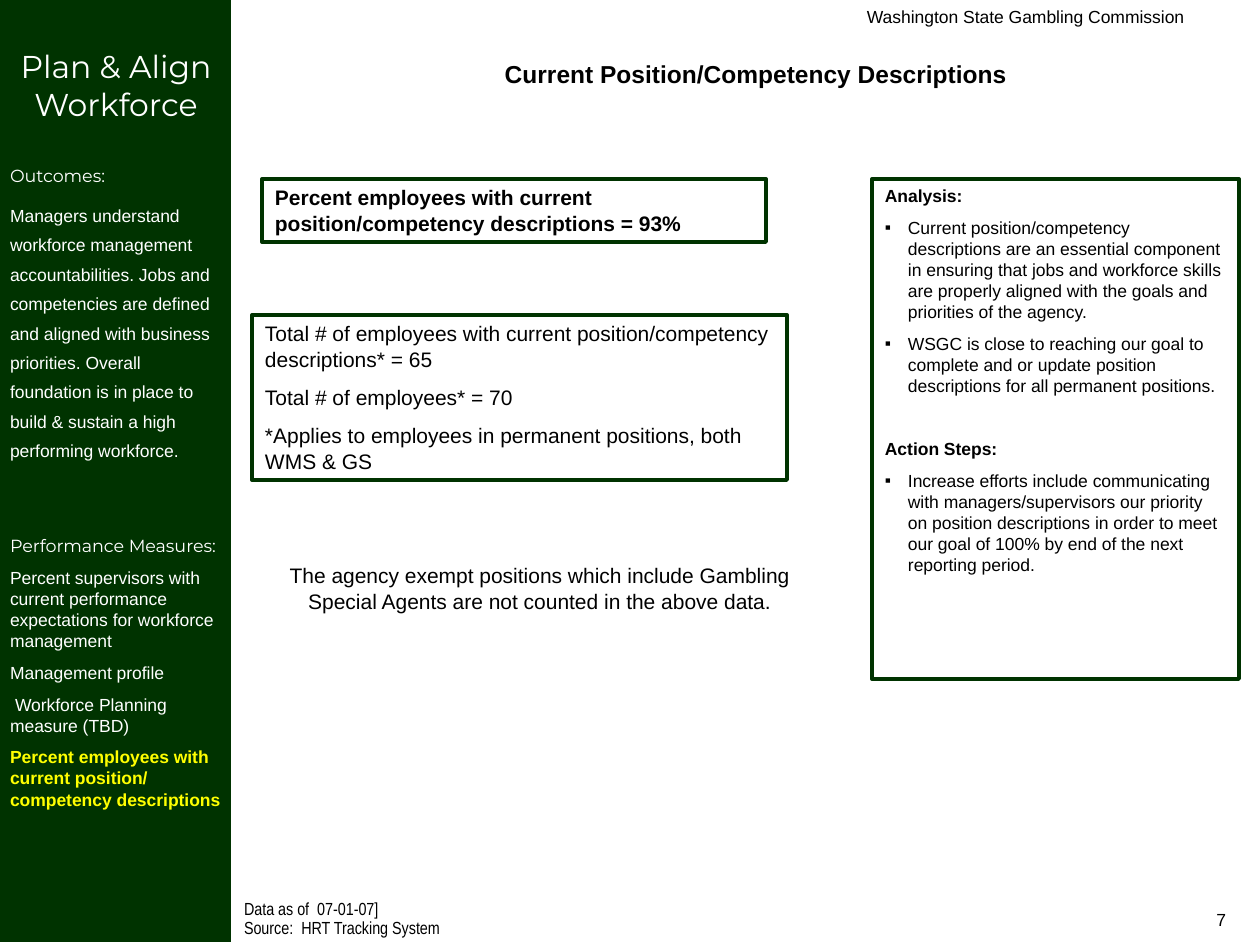
from lxml.etree import SubElement
from pptx import Presentation
from pptx.dml.color import RGBColor
from pptx.enum.shapes import MSO_SHAPE
from pptx.enum.text import MSO_ANCHOR, PP_ALIGN
from pptx.oxml.ns import qn
from pptx.util import Emu, Pt

GREEN = RGBColor(0x00, 0x33, 0x00)
WHITE = RGBColor(0xFF, 0xFF, 0xFF)
BLACK = RGBColor(0x00, 0x00, 0x00)
YELLOW = RGBColor(0xFF, 0xFF, 0x00)
PX_PER_INCH = 126


def px(length):
    """Turn whole pixels into EMU."""
    return Emu(round(length * 914400 / PX_PER_INCH))


def set_insets(frame, left=13, top=6, right=13, bottom=6):
    """Give a text frame its margins, wrapping and top anchor."""
    frame.margin_left, frame.margin_top = px(left), px(top)
    frame.margin_right, frame.margin_bottom = px(right), px(bottom)
    frame.word_wrap = True
    frame.vertical_anchor = MSO_ANCHOR.TOP


def add_paragraph(frame, wording, size=10, font="Arial", color=BLACK, bold=False,
                  align=PP_ALIGN.LEFT, before=0, spacing=None, bullet=False, indent=0):
    """Append one styled paragraph to a text frame."""
    first = frame.paragraphs[0]
    paragraph = frame.add_paragraph() if first.runs else first
    paragraph.alignment = align
    if before:
        paragraph.space_before = Pt(before)
    if spacing:
        paragraph.line_spacing = spacing
    properties = paragraph._p.get_or_add_pPr()
    if indent:
        properties.set("indent", str(px(indent)))
    if bullet:
        properties.set("marL", str(px(23)))
        properties.set("indent", str(px(-23)))
        SubElement(properties, qn("a:buFont"), typeface="Arial")
        SubElement(properties, qn("a:buChar"), char="▪")
    run = paragraph.add_run()
    run.text = wording
    run.font.size = Pt(size)
    run.font.name = font
    run.font.bold = bold
    run.font.color.rgb = color


def add_label(slide, left, top, width, height):
    """Add a plain text box and return its frame."""
    frame = slide.shapes.add_textbox(px(left), px(top), px(width), px(height)).text_frame
    set_insets(frame)
    return frame


def add_panel(slide, left, top, width, height, fill=None):
    """Add a filled or green-outlined rectangle and return its frame."""
    panel = slide.shapes.add_shape(
        MSO_SHAPE.RECTANGLE, px(left), px(top), px(width), px(height))
    panel.shadow.inherit = False
    if fill is None:
        panel.fill.background()
        panel.line.color.rgb = GREEN
        panel.line.width = Pt(2.25)
    else:
        panel.fill.solid()
        panel.fill.fore_color.rgb = fill
        panel.line.fill.background()
    set_insets(panel.text_frame)
    return panel.text_frame


def add_sidebar(slide):
    """Add the green column with outcomes and performance measures."""
    sidebar = add_panel(slide, 0, 0, 231, 942, GREEN)
    set_insets(sidebar, left=10, top=47, right=9)
    add_paragraph(sidebar, "Plan & Align Workforce", 18, "Montserrat", WHITE,
                  align=PP_ALIGN.CENTER)
    add_paragraph(sidebar, "Outcomes:", font="Montserrat", color=WHITE, before=24)
    add_paragraph(
        sidebar,
        "Managers understand workforce management accountabilities. Jobs and "
        "competencies are defined and aligned with business priorities. Overall "
        "foundation is in place to build & sustain a high performing workforce.",
        color=WHITE, before=6.2, spacing=1.4)
    add_paragraph(sidebar, "Performance Measures:", font="Montserrat", color=WHITE, before=42)
    measures = [
        ("Percent supervisors with current performance expectations for workforce "
         "management", 0),
        ("Management profile", 0),
        ("Workforce Planning measure (TBD)", 5),
    ]
    for measure, indent in measures:
        add_paragraph(sidebar, measure, color=WHITE, before=6.2, indent=indent)
    add_paragraph(sidebar, "Percent employees with current position/ competency descriptions",
                  color=YELLOW, bold=True, before=6.2)


def add_figures(slide):
    """Add the headline percentage, the totals and the exemption note."""
    percentage = add_panel(slide, 262, 179, 504, 63)
    add_paragraph(percentage,
                  "Percent employees with current position/competency descriptions = 93%",
                  12, bold=True)
    totals = add_panel(slide, 252, 315, 535, 165)
    lines = [
        "Total # of employees with current position/competency descriptions* = 65",
        "Total # of employees* = 70",
        "*Applies to employees in permanent positions, both WMS & GS",
    ]
    for index, line in enumerate(lines):
        add_paragraph(totals, line, 12, before=7.5 if index else 0)
    exemption = add_label(slide, 262, 557, 556, 63)
    add_paragraph(exemption,
                  "The agency exempt positions which include Gambling Special Agents "
                  "are not counted in the above data.",
                  12, align=PP_ALIGN.CENTER)


def add_analysis(slide):
    """Add the panel of analysis and action steps."""
    analysis = add_panel(slide, 872, 179, 367, 500)
    sections = [
        ("Analysis:", 0, [
            "Current position/competency descriptions are an essential component in "
            "ensuring that jobs and workforce skills are properly aligned with the "
            "goals and priorities of the agency.",
            "WSGC is close to reaching our goal to complete and or update position "
            "descriptions for all permanent positions."]),
        ("Action Steps:", 24, [
            "Increase efforts include communicating with managers/supervisors our "
            "priority on position descriptions in order to meet our goal of 100% by "
            "end of the next reporting period."]),
    ]
    for heading, before, points in sections:
        add_paragraph(analysis, heading, bold=True, before=before)
        for point in points:
            add_paragraph(analysis, point, before=6.2, bullet=True)


def main():
    """Build the slide and save it."""
    deck = Presentation()
    deck.slide_width, deck.slide_height = px(1260), px(945)
    slide = deck.slides.add_slide(deck.slide_layouts[6])
    add_sidebar(slide)
    footer = add_label(slide, 231, 898, 609, 47)
    add_paragraph(footer, "Data as of  07-01-07]", font="Arial Narrow", spacing=0.7)
    add_paragraph(footer, "Source:  HRT Tracking System", font="Arial Narrow",
                  spacing=0.7, before=2.5)
    title = add_label(slide, 252, 53, 1008, 87)
    add_paragraph(title, "Current Position/Competency Descriptions", 14, bold=True,
                  align=PP_ALIGN.CENTER)
    add_figures(slide)
    add_analysis(slide)
    agency = add_label(slide, 567, 0, 630, 32)
    add_paragraph(agency, "Washington State Gambling Commission", align=PP_ALIGN.RIGHT)
    page_number = add_label(slide, 945, 903, 294, 42)
    add_paragraph(page_number, "7", align=PP_ALIGN.RIGHT)
    deck.save("out.pptx")


if __name__ == "__main__":
    main()
